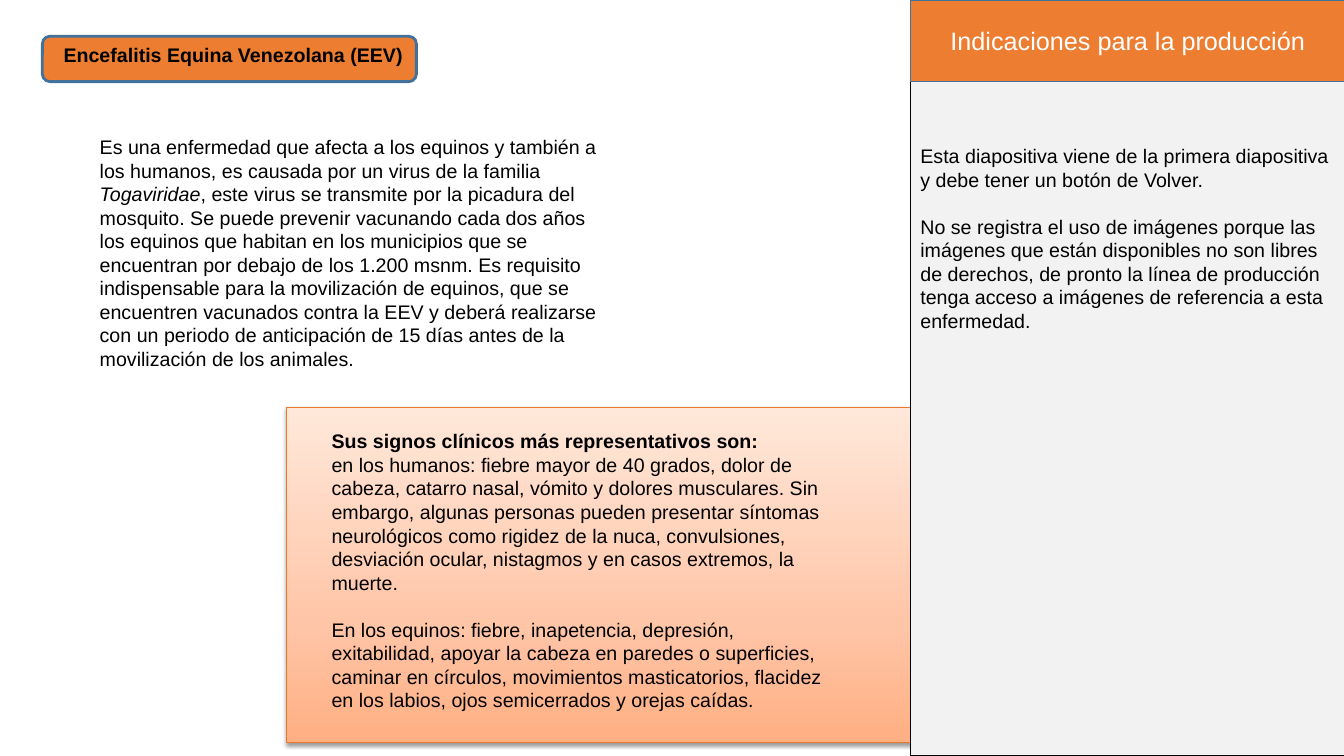
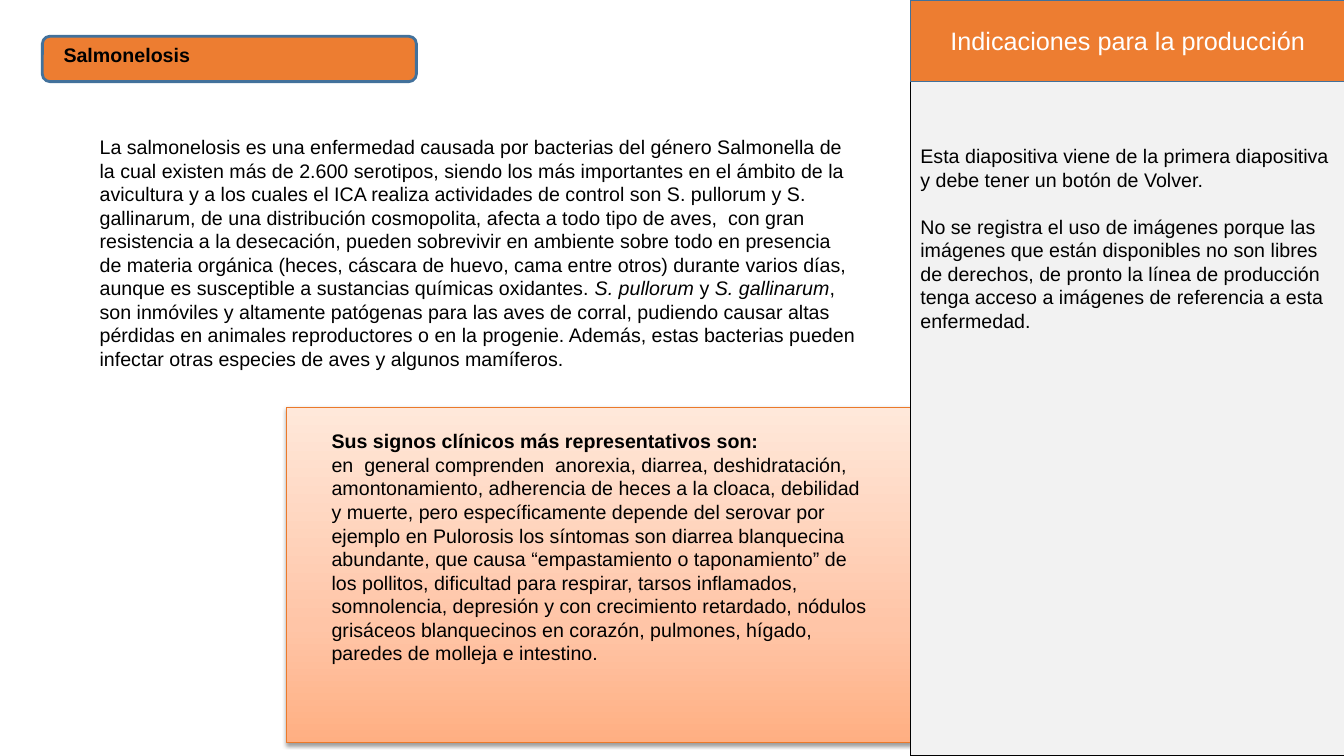
from lxml.etree import SubElement
from pptx import Presentation
from pptx.dml.color import RGBColor
from pptx.enum.shapes import MSO_SHAPE
from pptx.enum.text import MSO_ANCHOR, MSO_AUTO_SIZE, PP_ALIGN
from pptx.oxml.ns import qn
from pptx.util import Inches, Pt

FONT = "Arial"
BLACK = RGBColor(0, 0, 0)
WHITE = RGBColor(255, 255, 255)
ORANGE = RGBColor(0xED, 0x7D, 0x31)
BLUE = RGBColor(0x42, 0x71, 0x9B)
GRAY = RGBColor(0xF2, 0xF2, 0xF2)
PANEL_EDGE = RGBColor(0xEB, 0x79, 0x2A)
PANEL_STOPS = (
    (0, RGBColor(0xFF, 0xAF, 0x82)),
    (35, RGBColor(0xFF, 0xC5, 0xA7)),
    (100, RGBColor(0xFF, 0xE8, 0xDA)),
)
BODY_SIZE = 14
LINE_GAP = Pt(16.8)
SIDE_LEFT, SIDE_WIDTH, BAND_HEIGHT = 9.03, 4.31, 0.81

SIDE_HEADING = "Indicaciones para la producción"
SIDE_NOTES = (
    "Esta diapositiva viene de la primera diapositiva y debe tener un botón de Volver.",
    "No se registra el uso de imágenes porque las imágenes que están disponibles no son "
    "libres de derechos, de pronto la línea de producción tenga acceso a imágenes de "
    "referencia a esta enfermedad.",
)
SIGNS_HEADING = "Sus signos clínicos más representativos son:"

DISEASES = (
    {
        "title": "Encefalitis Equina Venezolana (EEV)",
        "summary_width": 5.21,
        "summary": (
            "Es una enfermedad que afecta a los equinos y también a los humanos, es "
            "causada por un virus de la familia *Togaviridae*, este virus se transmite por "
            "la picadura del mosquito.",
            "Se puede prevenir vacunando cada dos años los equinos que habitan en los "
            "municipios que se encuentran por debajo de los 1.200 msnm.",
            "Es requisito indispensable para la movilización de equinos, que se encuentren "
            "vacunados contra la EEV y deberá realizarse con un periodo de anticipación de "
            "15 días antes de la movilización de los animales.",
        ),
        "signs_width": 5.24,
        "signs": (
            "en los humanos: fiebre mayor de 40 grados, dolor de cabeza, catarro nasal, "
            "vómito y dolores musculares. Sin embargo, algunas personas pueden presentar "
            "síntomas neurológicos como rigidez de la nuca, convulsiones, desviación ocular, "
            "nistagmos y en casos extremos, la muerte.",
            "En los equinos: fiebre, inapetencia, depresión, exitabilidad, apoyar la cabeza "
            "en paredes o superficies, caminar en círculos, movimientos masticatorios, "
            "flacidez en los labios, ojos semicerrados y orejas caídas.",
        ),
    },
    {
        "title": "Salmonelosis",
        "summary_width": 7.7,
        "summary": (
            "La salmonelosis es una enfermedad causada por bacterias del género Salmonella "
            "de la cual existen más de 2.600 serotipos, siendo los más importantes en el "
            "ámbito de la avicultura y a los cuales el ICA realiza actividades de control "
            "son S. pullorum y S. gallinarum, de una distribución cosmopolita, afecta a todo "
            "tipo de aves,  con gran resistencia a la desecación, pueden sobrevivir en "
            "ambiente sobre todo en presencia de materia orgánica (heces, cáscara de huevo, "
            "cama entre otros) durante varios días, aunque es susceptible a sustancias "
            "químicas oxidantes.",
            "*S. pullorum* y *S. gallinarum*, son inmóviles y altamente patógenas para las "
            "aves de corral, pudiendo causar altas pérdidas en animales reproductores o en "
            "la progenie.",
            "Además, estas bacterias pueden infectar otras especies de aves y algunos "
            "mamíferos.",
        ),
        "signs_width": 5.59,
        "signs": (
            "en  general comprenden  anorexia, diarrea, deshidratación, amontonamiento, "
            "adherencia de heces a la cloaca, debilidad y muerte, pero específicamente "
            "depende del serovar por ejemplo en Pulorosis los síntomas son diarrea "
            "blanquecina abundante, que causa “empastamiento o taponamiento” de los "
            "pollitos, dificultad para respirar, tarsos inflamados, somnolencia, depresión y "
            "con crecimiento retardado, nódulos grisáceos blanquecinos en corazón, pulmones, "
            "hígado, paredes de molleja e intestino.",
        ),
    },
)


def style_paragraph(para, size=BODY_SIZE, color=BLACK, bold=False, align=PP_ALIGN.LEFT):
    para.alignment = align
    font = para.font
    font.name, font.size, font.bold = FONT, Pt(size), bold
    font.color.rgb = color


def add_block(page, kind, left, top, width, height, line, weight, fill=None):
    block = page.shapes.add_shape(
        kind, Inches(left), Inches(top), Inches(width), Inches(height))
    block.shadow.inherit = False
    block.line.color.rgb = line
    block.line.width = Pt(weight)
    if fill is not None:
        block.fill.solid()
        block.fill.fore_color.rgb = fill
    return block


def add_text(page, left, top, width, height, texts, heading=None):
    box = page.shapes.add_textbox(Inches(left), Inches(top), Inches(width), Inches(height))
    frame = box.text_frame
    frame.word_wrap = True
    para = frame.paragraphs[0]
    if heading:
        para.text = heading
        style_paragraph(para, bold=True)
    for index, text in enumerate(texts):
        if heading or index:
            para = frame.add_paragraph()
        style_paragraph(para)
        if index:
            para.space_before = LINE_GAP
        for position, part in enumerate(text.split("*")):
            span = para.add_run()
            span.text = part
            if position % 2:
                span.font.italic = True


def add_signs_panel(page):
    panel = add_block(page, MSO_SHAPE.RECTANGLE, 2.84, 4.04, 6.19, 3.33, PANEL_EDGE, 0.75)
    panel.fill.gradient()
    panel.fill.gradient_angle = 90
    properties = panel.element.spPr
    stops = properties.find(".//" + qn("a:gsLst"))
    for stop in list(stops):
        stops.remove(stop)
    for percent, color in PANEL_STOPS:
        stop = SubElement(stops, qn("a:gs"), pos=str(percent * 1000))
        SubElement(stop, qn("a:srgbClr"), val=str(color))
    shadow = SubElement(
        properties.find(qn("a:effectLst")), qn("a:outerShdw"),
        blurRad=str(Pt(3.1)), dist=str(Pt(1.6)), dir="5400000", rotWithShape="0")
    shade = SubElement(shadow, qn("a:srgbClr"), val=str(BLACK))
    SubElement(shade, qn("a:alpha"), val="38000")


def add_side_column(page):
    add_block(page, MSO_SHAPE.RECTANGLE, SIDE_LEFT, 0, SIDE_WIDTH, 7.5, BLACK, 1, GRAY)
    add_text(page, SIDE_LEFT, 1.38, SIDE_WIDTH, 3.3, SIDE_NOTES)
    band = add_block(page, MSO_SHAPE.RECTANGLE, SIDE_LEFT, 0, SIDE_WIDTH, BAND_HEIGHT,
                     BLUE, 1, ORANGE)
    band.text_frame.vertical_anchor = MSO_ANCHOR.MIDDLE
    para = band.text_frame.paragraphs[0]
    para.text = SIDE_HEADING
    style_paragraph(para, 18, WHITE, align=PP_ALIGN.CENTER)


def add_title(page, text):
    badge = add_block(page, MSO_SHAPE.ROUNDED_RECTANGLE, 0.42, 0.36, 3.71, 0.45,
                      BLUE, 2, ORANGE)
    title = page.shapes.title
    title.left, title.top = Inches(0.53), Inches(0.38)
    title.width, title.height = Inches(3.7), Inches(0.34)
    frame = title.text_frame
    frame.text = text
    frame.word_wrap = True
    frame.auto_size = MSO_AUTO_SIZE.NONE
    frame.vertical_anchor = MSO_ANCHOR.TOP
    style_paragraph(frame.paragraphs[0], bold=True)
    badge.element.addnext(title.element)


def add_disease_page(deck, disease):
    page = deck.slides.add_slide(deck.slide_layouts.get_by_name("Title Only"))
    add_signs_panel(page)
    add_side_column(page)
    add_text(page, 0.89, 1.29, disease["summary_width"], 1.94,
             [" ".join(disease["summary"])])
    add_title(page, disease["title"])
    add_text(page, 3.19, 4.21, disease["signs_width"], 2.93, disease["signs"], SIGNS_HEADING)


def main():
    deck = Presentation()
    deck.slide_width, deck.slide_height = Inches(13.33), Inches(7.5)
    for disease in DISEASES:
        add_disease_page(deck, disease)
    deck.save("out.pptx")


main()
